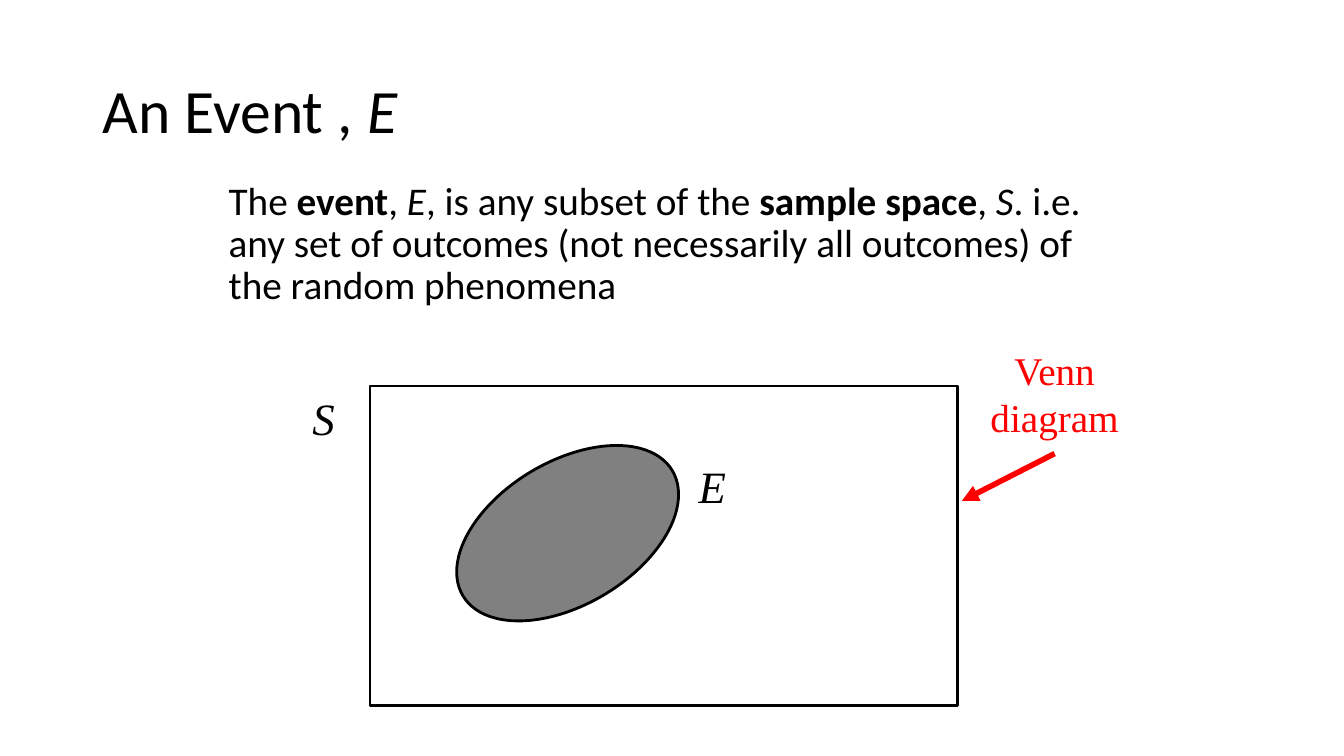
from lxml.etree import SubElement
from pptx import Presentation
from pptx.dml.color import RGBColor
from pptx.enum.shapes import MSO_CONNECTOR, MSO_SHAPE
from pptx.enum.text import MSO_ANCHOR, PP_ALIGN
from pptx.oxml.ns import qn
from pptx.util import Inches, Pt

BLACK = RGBColor(0, 0, 0)
GRAY = RGBColor(128, 128, 128)
RED = RGBColor(255, 0, 0)
PLAIN = {}
BOLD = {"bold": True}
SLANT = {"italic": True}
SERIF = "Times New Roman"


def apply(item, form):
    """Set each format value on the item."""
    for key, value in form.items():
        setattr(item, key, value)


def write(slide, box, runs, font, color=BLACK, frame=PLAIN, para=PLAIN):
    """Place one paragraph of styled runs in a box given in inches."""
    text = slide.shapes.add_textbox(*map(Inches, box)).text_frame
    apply(text, {"word_wrap": True, **frame})
    line = text.paragraphs[0]
    apply(line, para)
    for words, style in runs:
        run = line.add_run()
        run.text = words
        apply(run.font, {**font, **style})
        run.font.color.rgb = color


def outline(slide, kind, box, fill=None, turn=0):
    """Draw a black-edged preset shape, filled only when a colour is given."""
    shape = slide.shapes.add_shape(kind, *map(Inches, box))
    shape.shadow.inherit = False
    shape.rotation = turn
    if fill is None:
        shape.fill.background()
    else:
        shape.fill.solid()
        shape.fill.fore_color.rgb = fill
    shape.line.color.rgb = BLACK
    shape.line.width = Pt(2)


def arrow(slide, start, end):
    """Draw a red arrow between two points given in inches."""
    link = slide.shapes.add_connector(MSO_CONNECTOR.STRAIGHT, *map(Inches, start + end))
    link.line.color.rgb = RED
    link.line.width = Pt(4)
    SubElement(link.line._get_or_add_ln(), qn("a:tailEnd"), type="triangle")
    SubElement(link._element.spPr, qn("a:effectLst"))


def heading(slide, box):
    """Write the slide title."""
    runs = [("An Event , ", PLAIN), ("E", SLANT)]
    write(slide, box, runs, {"name": "Calibri", "size": Pt(44)},
          frame={"vertical_anchor": MSO_ANCHOR.MIDDLE}, para={"line_spacing": 0.9})


def meaning(slide, box):
    """Write the definition of an event."""
    runs = [
        ("The ", PLAIN), ("event", BOLD), (", ", PLAIN), ("E", SLANT),
        (", is any subset of the ", PLAIN), ("sample space", BOLD),
        (", ", PLAIN), ("S", SLANT),
        (". i.e. any set of outcomes (not necessarily all outcomes) of "
         "the random phenomena", PLAIN),
    ]
    write(slide, box, runs, {"name": "Calibri", "size": Pt(28)},
          para={"line_spacing": 0.9, "space_before": Pt(10)})


def venn(slide, box):
    """Draw the sample space, the event within it, and their labels."""
    left, top, width, height = box
    right = left + width
    outline(slide, MSO_SHAPE.RECTANGLE, box)
    outline(slide, MSO_SHAPE.OVAL, (left + 0.75, top + 0.75, 2.42, 1.42), GRAY, 329.1)
    for name, across, down in (("S", -0.67, 0), ("E", 3.16, 0.67)):
        write(slide, (left + across, top + down, 0.92, 0.58), [(name, SLANT)],
              {"name": SERIF, "size": Pt(32)})
    write(slide, (right + 0.14, top - 0.44, 1.64, 1.03), [("Venn diagram", PLAIN)],
          {"name": SERIF, "size": Pt(28)}, RED, para={"alignment": PP_ALIGN.CENTER})
    arrow(slide, (right + 0.96, top + 0.67), (right + 0.04, top + 1.14))


def main():
    """Build the slide and save it."""
    deck = Presentation()
    apply(deck, {"slide_width": Inches(13.33), "slide_height": Inches(7.5)})
    slide = deck.slides.add_slide(deck.slide_layouts[6])
    heading(slide, (0.92, 0.4, 11.5, 1.45))
    meaning(slide, (2.17, 1.75, 9, 1.75))
    venn(slide, (3.67, 3.83, 5.83, 3.17))
    deck.save("out.pptx")


if __name__ == "__main__":
    main()
